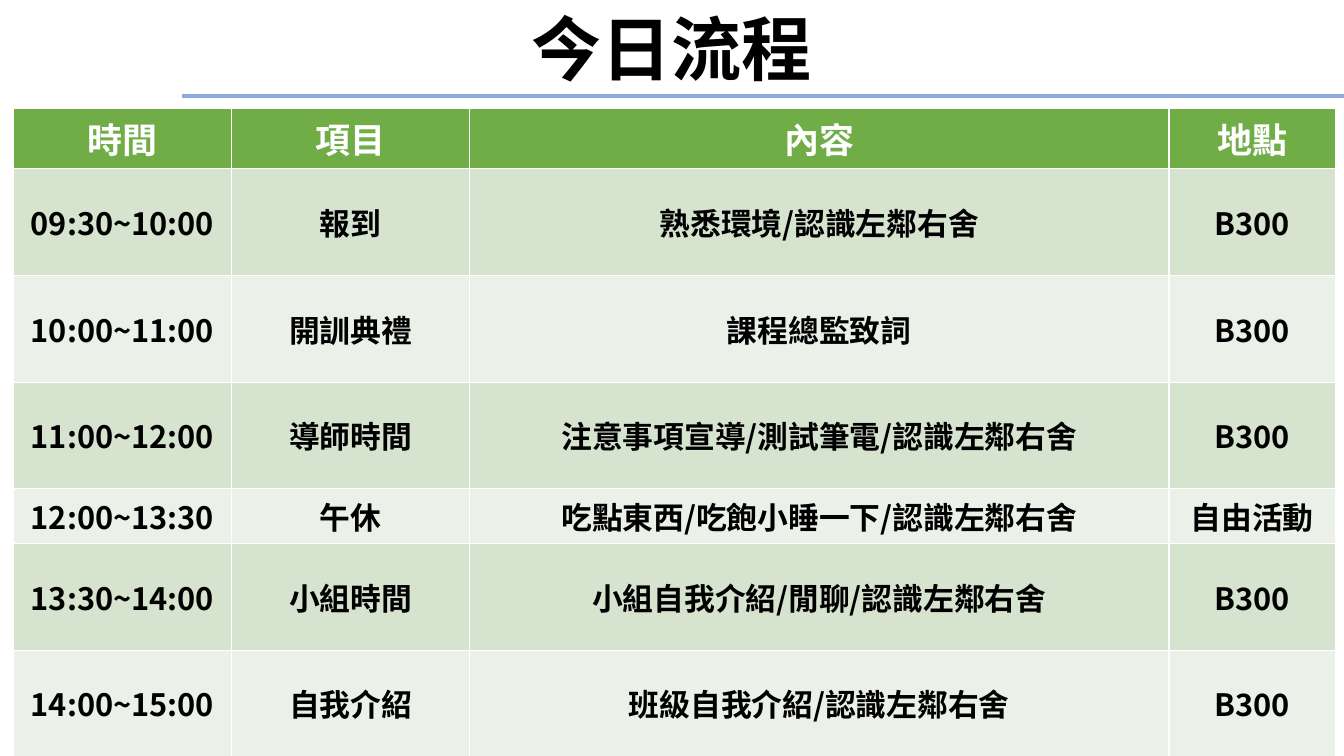
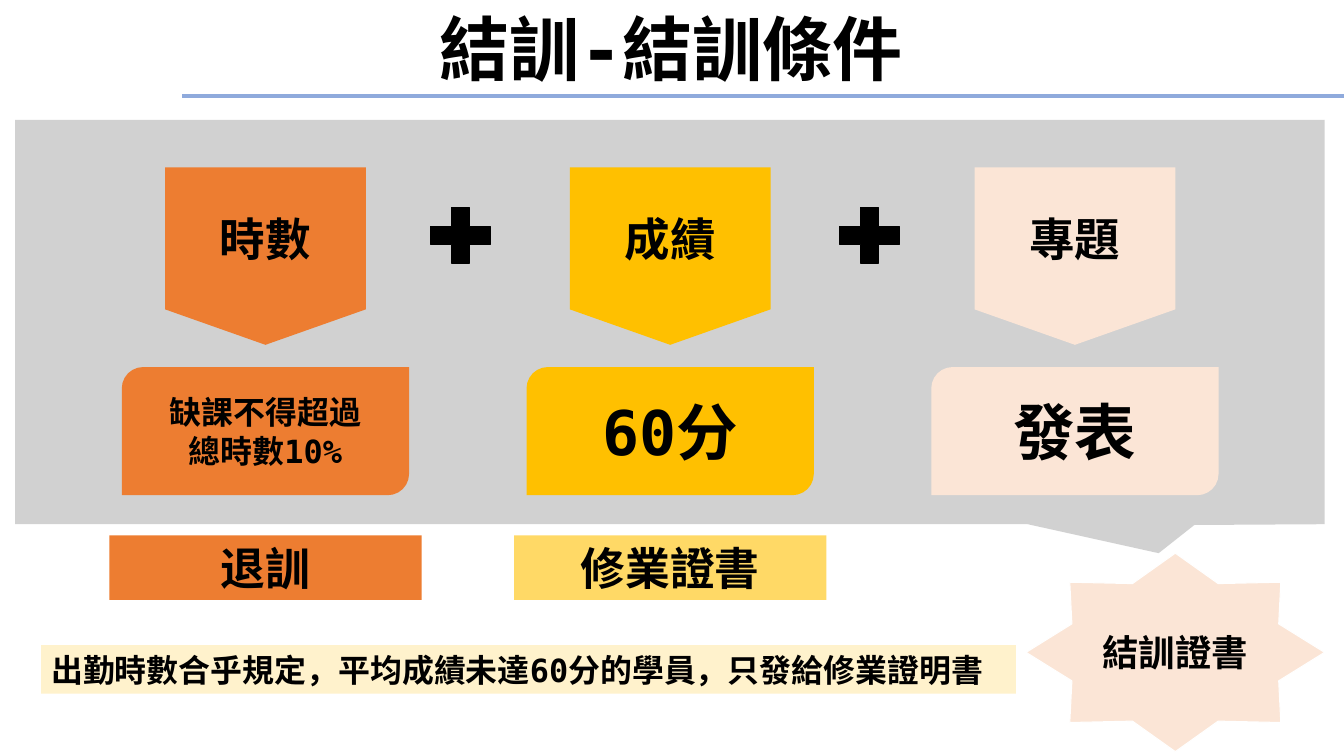
from lxml import etree
from pptx import Presentation
from pptx.dml.color import RGBColor
from pptx.enum import shapes, text
from pptx.oxml import ns
from pptx.util import Cm, Pt

SANS = "Noto Sans CJK SC"
MONO = "DejaVu Sans Mono"
HEADER_FONT = "Calibri"
BLACK = RGBColor(0x00, 0x00, 0x00)
WHITE = RGBColor(0xFF, 0xFF, 0xFF)
BLUE = RGBColor(0x8F, 0xAA, 0xDC)
GREEN = RGBColor(0x70, 0xAD, 0x47)
BANDS = (RGBColor(0xD5, 0xE3, 0xCF), RGBColor(0xEB, 0xF1, 0xE9))
GREY = RGBColor(0xA5, 0xA5, 0xA5)
ORANGE = RGBColor(0xED, 0x7D, 0x31)
GOLD = RGBColor(0xFF, 0xC0, 0x00)
LIGHT_GOLD = RGBColor(0xFF, 0xD9, 0x66)
CREAM = RGBColor(0xFF, 0xF2, 0xCC)
PEACH = RGBColor(0xFB, 0xE5, 0xD6)

SLIDE_W, SLIDE_H = 33.87, 19.05
TITLE_H = 2.41
COLUMN_X, COLUMN_STEP = 6.69, 10.2
SHAPE = shapes.MSO_SHAPE
ALIGN = text.PP_ALIGN

AGENDA = (
    ("時間", "項目", "內容", "地點"),
    ("09:30~10:00", "報到", "熟悉環境/認識左鄰右舍", "B300"),
    ("10:00~11:00", "開訓典禮", "課程總監致詞", "B300"),
    ("11:00~12:00", "導師時間", "注意事項宣導/測試筆電/認識左鄰右舍", "B300"),
    ("12:00~13:30", "午休", "吃點東西/吃飽小睡一下/認識左鄰右舍", "自由活動"),
    ("13:30~14:00", "小組時間", "小組自我介紹/閒聊/認識左鄰右舍", "B300"),
    ("14:00~15:00", "自我介紹", "班級自我介紹/認識左鄰右舍", "B300"),
)
AGENDA_WIDTHS = (5.51, 5.99, 17.63, 4.19)
AGENDA_HEIGHTS = (1.32, 2.69, 2.69, 2.69, 1.19, 2.69, 2.69)

CONDITIONS = (
    ("時數", "缺課不得超過\n總時數10%", 22.8, MONO, ORANGE),
    ("成績", "60分", 44, MONO, GOLD),
    ("專題", "發表", 44, SANS, PEACH),
)
OUTCOMES = (("退訓", ORANGE), ("修業證書", LIGHT_GOLD))


def write(tf, content, size, name=SANS, color=BLACK, align=ALIGN.CENTER):
    """Fill a text frame with bold paragraphs, one per line."""
    tf.text = content
    for p in tf.paragraphs:
        p.alignment = align
        p.font.size = Pt(size)
        p.font.bold = True
        p.font.color.rgb = color
        p.font.name = name
        props = p._p.get_or_add_pPr().find(ns.qn("a:defRPr"))
        etree.SubElement(props, ns.qn("a:ea"), typeface=SANS)


def paint(sp, fill, line=None, width=0.75):
    """Give a shape a flat fill and an optional outline."""
    sp.shadow.inherit = False
    sp.fill.solid()
    sp.fill.fore_color.rgb = fill
    if line is None:
        sp.line.fill.background()
    else:
        sp.line.color.rgb = line
        sp.line.width = Pt(width)


def add_block(s, kind, x, y, w, h, fill, line=None):
    """Add a painted preset shape with middle-anchored text and return it."""
    sp = s.shapes.add_shape(kind, Cm(x), Cm(y), Cm(w), Cm(h))
    paint(sp, fill, line)
    tf = sp.text_frame
    tf.word_wrap = True
    tf.vertical_anchor = text.MSO_ANCHOR.MIDDLE
    tf.margin_left = tf.margin_right = Cm(0.2)
    tf.margin_top = tf.margin_bottom = 0
    return sp


def add_titled_slide(prs, title, x, w, name):
    """Add a slide with the shared title style and the rule below it."""
    s = prs.slides.add_slide(prs.slide_layouts[5])
    sp = s.shapes.title
    sp.left, sp.top, sp.width, sp.height = Cm(x), 0, Cm(w), Cm(TITLE_H)
    tf = sp.text_frame
    write(tf, title, 50, name)
    tf.paragraphs[0].line_spacing = 0.9
    tf.auto_size = text.MSO_AUTO_SIZE.NONE
    tf.vertical_anchor = text.MSO_ANCHOR.BOTTOM
    rule = s.shapes.add_connector(
        shapes.MSO_CONNECTOR.STRAIGHT,
        Cm(4.6), Cm(TITLE_H), Cm(SLIDE_W), Cm(TITLE_H))
    rule.line.color.rgb = BLUE
    rule.line.width = Pt(3)
    etree.SubElement(rule._element.spPr, ns.qn("a:effectLst"))
    return s


def add_agenda(s):
    """Add the timetable with a green header and banded rows."""
    frame = s.shapes.add_table(
        len(AGENDA), len(AGENDA_WIDTHS), Cm(0.33), Cm(2.72),
        Cm(sum(AGENDA_WIDTHS)), Cm(sum(AGENDA_HEIGHTS)))
    table = frame.table
    for column, width in zip(table.columns, AGENDA_WIDTHS):
        column.width = Cm(width)
    for i, (row, height) in enumerate(zip(table.rows, AGENDA_HEIGHTS)):
        row.height = Cm(height)
        for cell, content in zip(row.cells, AGENDA[i]):
            cell.vertical_anchor = text.MSO_ANCHOR.MIDDLE
            cell.fill.solid()
            if i == 0:
                cell.fill.fore_color.rgb = GREEN
                write(cell.text_frame, content, 25, HEADER_FONT, WHITE)
            else:
                cell.fill.fore_color.rgb = BANDS[(i - 1) % 2]
                write(cell.text_frame, content, 22)


def add_panel(s):
    """Add the translucent grey panel that points to the certificate."""
    outline = [(33.38, 3.02), (33.38, 13.21), (30.1, 13.23),
               (29.2, 13.94), (25.9, 13.21), (0.38, 13.21)]
    builder = s.shapes.build_freeform(Cm(0.38), Cm(3.02))
    builder.add_line_segments([(Cm(x), Cm(y)) for x, y in outline])
    sp = builder.convert_to_shape()
    paint(sp, GREY)
    color = sp._element.spPr.find(".//" + ns.qn("a:srgbClr"))
    etree.SubElement(color, ns.qn("a:alpha"), val="50000")


def add_centered(s, kind, column, y, w, h, fill):
    """Add a block centred on one of the condition columns."""
    x = COLUMN_X + column * COLUMN_STEP - w / 2
    return add_block(s, kind, x, y, w, h, fill)


def add_conditions(s):
    """Add the three conditions, the plus signs and the outcomes."""
    for i, (label, detail, size, name, fill) in enumerate(CONDITIONS):
        sp = add_centered(s, SHAPE.FLOWCHART_OFFPAGE_CONNECTOR,
                          i, 4.22, 5.06, 4.47, fill)
        write(sp.text_frame, label, 32.5)
        sp = add_centered(s, SHAPE.ROUND_2_DIAG_RECTANGLE,
                          i, 9.25, 7.24, 3.23, fill)
        write(sp.text_frame, detail, size, name)
    for i in range(len(CONDITIONS) - 1):
        add_block(s, SHAPE.MATH_PLUS, 10.59 + i * 10.31, 4.98, 2.03, 1.9,
                  BLACK, BLACK)
    for i, (label, fill) in enumerate(OUTCOMES):
        sp = add_centered(s, SHAPE.RECTANGLE, i, 13.49, 7.87, 1.63, fill)
        write(sp.text_frame, label, 32)


def add_certificate(s):
    """Add the star for the final certificate and the attendance note."""
    star = add_block(s, SHAPE.STAR_8_POINT, 25.86, 13.94, 7.52, 5,
                     PEACH, WHITE)
    write(star.text_frame, "結訓證書", 26)
    note = add_block(s, SHAPE.RECTANGLE, 1.04, 16.26, 24.56, 1.22, CREAM)
    note.text_frame.margin_left = Cm(0.25)
    write(note.text_frame,
          "出勤時數合乎規定，平均成績未達60分的學員，只發給修業證明書",
          22.8, MONO, align=ALIGN.LEFT)


def main():
    """Build both slides and save the presentation."""
    prs = Presentation()
    prs.slide_width, prs.slide_height = Cm(SLIDE_W), Cm(SLIDE_H)
    add_agenda(add_titled_slide(prs, "今日流程", 11.48, 10.9, SANS))
    s = add_titled_slide(prs, "結訓-結訓條件", 6.22, 21.39, MONO)
    add_panel(s)
    add_conditions(s)
    add_certificate(s)
    prs.save("out.pptx")


if __name__ == "__main__":
    main()
